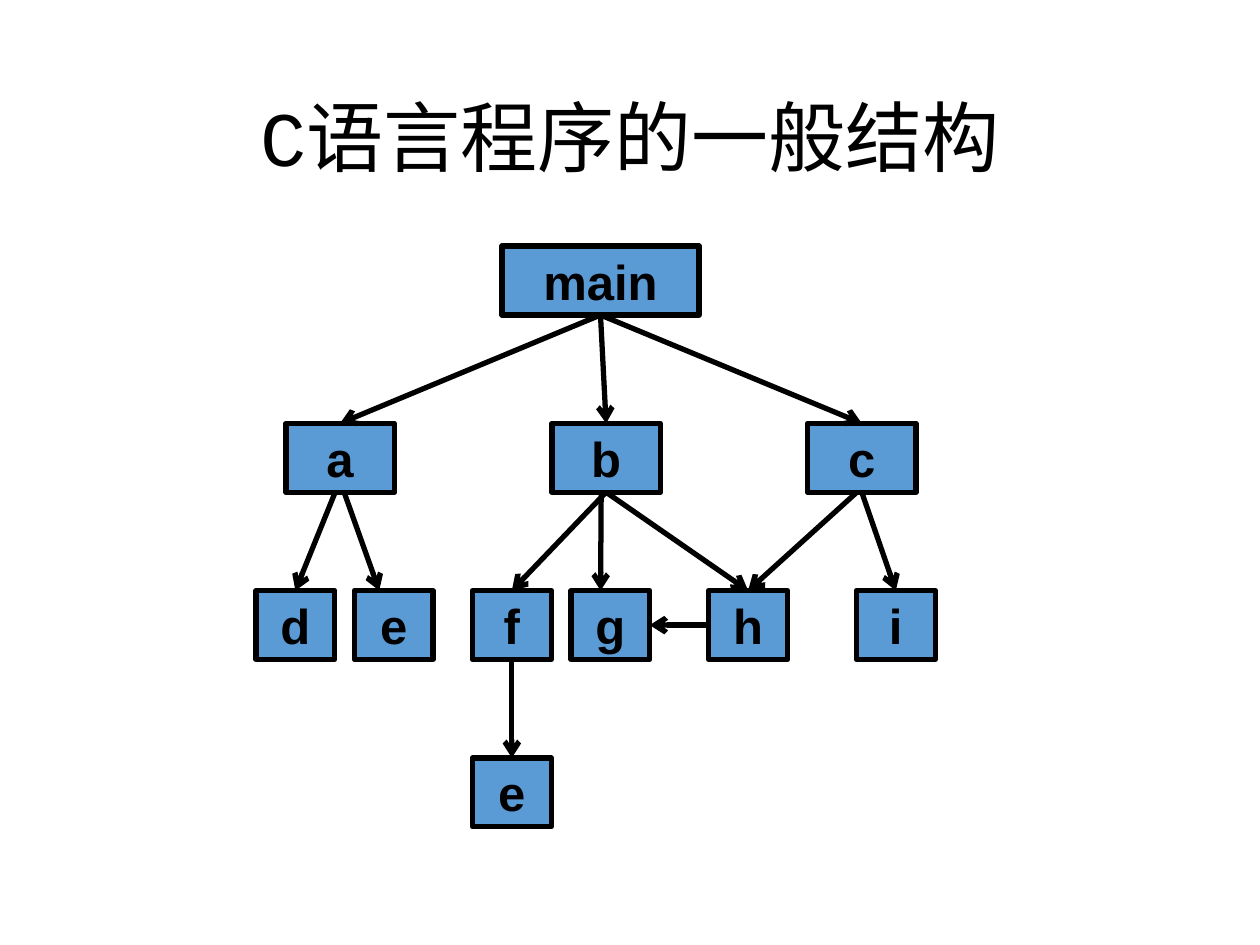
from lxml import etree
from pptx import Presentation
from pptx.dml.color import RGBColor
from pptx.enum.shapes import MSO_CONNECTOR, MSO_SHAPE
from pptx.enum.text import MSO_ANCHOR, PP_ALIGN
from pptx.oxml.ns import qn
from pptx.util import Pt

PROCESS = MSO_SHAPE.FLOWCHART_PROCESS
STRAIGHT = MSO_CONNECTOR.STRAIGHT
MIDDLE = MSO_ANCHOR.MIDDLE
CENTER = PP_ALIGN.CENTER
TOP, LEFT, BOTTOM, RIGHT = range(4)

COLORS = {"box": "5B9BD5", "ink": "000000"}
BOX_HEIGHT = 39.4
LINE_WIDTH = 3

LEVELS = [
    (140.6, 112.5, [("main", "main", 286.9)]),
    (241.9, 61.9, [("a", "a", 163.4), ("b", "b", 315.4), ("c", "c", 461.5)]),
    (337.5, 45, [("d", "d", 146.3), ("e", "e", 202.5), ("f", "f", 270),
                 ("g", "g", 326.3), ("h", "h", 405), ("i", "i", 489.4)]),
    (433.1, 45, [("e under f", "e", 270)]),
]

CALLS = [
    ("main", "a", 0, 0), ("main", "b", 0, 0), ("main", "c", 0, 0),
    ("a", "d", -2.8, 0), ("a", "e", 2.3, -8.3),
    ("b", "f", 0, 0), ("b", "g", -2.8, -5.6), ("b", "h", 0, 0),
    ("c", "h", -2.8, 0), ("c", "i", 0, 0),
    ("f", "e under f", 0, 0),
]


def color(name):
    """Return the named palette colour."""
    return RGBColor.from_string(COLORS[name])


def write_text(paragraph, text, size, font_name, bold=False):
    """Add one centred run to a paragraph."""
    paragraph.alignment = CENTER
    run = paragraph.add_run()
    run.text = text
    run.font.size = Pt(size)
    run.font.name = font_name
    run.font.bold = bold
    run.font.color.rgb = color("ink")


def set_title(slide, text):
    """Place and format the slide title."""
    title = slide.shapes.title
    title.left, title.top, title.width, title.height = Pt(49.5), Pt(28.8), Pt(621), Pt(104.4)
    title.text_frame.vertical_anchor = MIDDLE
    paragraph = title.text_frame.paragraphs[0]
    paragraph.line_spacing = 0.9
    write_text(paragraph, text, 44, "Courier New")


def add_box(slide, text, left, top, width):
    """Add one function box."""
    shape = slide.shapes.add_shape(PROCESS, Pt(left), Pt(top), Pt(width), Pt(BOX_HEIGHT))
    shape.shadow.inherit = False
    shape.fill.solid()
    shape.fill.fore_color.rgb = color("box")
    shape.line.color.rgb = color("ink")
    shape.line.width = Pt(LINE_WIDTH)
    frame = shape.text_frame
    frame.margin_left = frame.margin_top = frame.margin_right = frame.margin_bottom = 0
    frame.word_wrap = False
    frame.vertical_anchor = MIDDLE
    write_text(frame.paragraphs[0], text, 28, "Arial", bold=True)
    return shape


def side_point(shape, side, shift):
    """Return the middle of a side, shifted horizontally."""
    x = {LEFT: shape.left, RIGHT: shape.left + shape.width}.get(side, shape.left + shape.width // 2)
    y = {TOP: shape.top, BOTTOM: shape.top + shape.height}.get(side, shape.top + shape.height // 2)
    return x + Pt(shift), y


def add_arrow(slide, caller, callee, start_shift=0, end_shift=0, start_side=BOTTOM, end_side=TOP):
    """Draw an arrow between two boxes, joined wherever it meets a side's middle."""
    connector = slide.shapes.add_connector(
        STRAIGHT,
        *side_point(caller, start_side, start_shift),
        *side_point(callee, end_side, end_shift),
    )
    if start_shift == 0:
        connector.begin_connect(caller, start_side)
    if end_shift == 0:
        connector.end_connect(callee, end_side)
    connector.line.color.rgb = color("ink")
    connector.line.width = Pt(LINE_WIDTH)
    etree.SubElement(connector.line._get_or_add_ln(), qn("a:tailEnd"), type="arrow")
    etree.SubElement(connector._element.spPr, qn("a:effectLst"))


def main():
    """Build the call structure slide."""
    presentation = Presentation()
    presentation.slide_width, presentation.slide_height = Pt(720), Pt(540)
    slide = presentation.slides.add_slide(presentation.slide_layouts[5])
    set_title(slide, "C语言程序的一般结构")
    boxes = {}
    for top, width, row in LEVELS:
        for key, text, left in row:
            boxes[key] = add_box(slide, text, left, top, width)
    for caller, callee, start_shift, end_shift in CALLS:
        add_arrow(slide, boxes[caller], boxes[callee], start_shift, end_shift)
    add_arrow(slide, boxes["h"], boxes["g"], start_side=LEFT, end_side=RIGHT)
    presentation.save("out.pptx")


if __name__ == "__main__":
    main()
